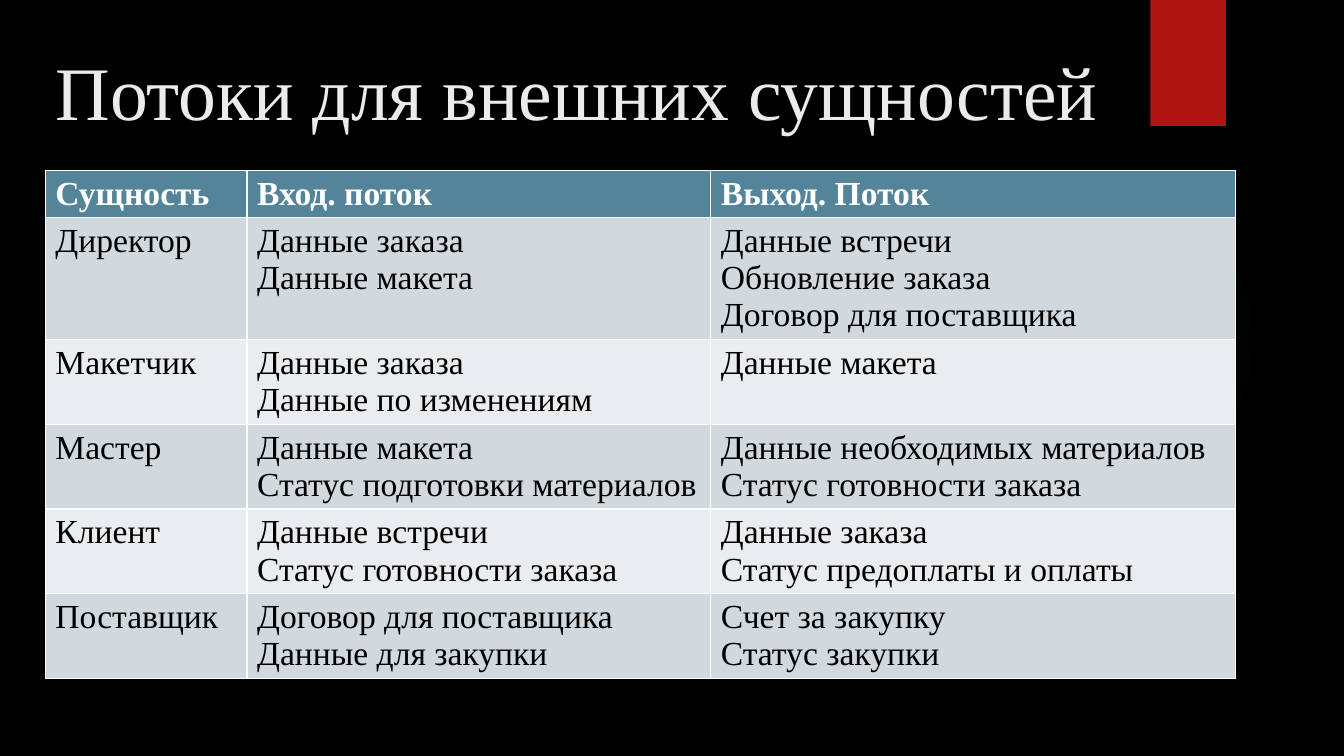
from lxml import etree
from pptx import Presentation
from pptx.dml.color import RGBColor
from pptx.enum.shapes import MSO_SHAPE as Shape
from pptx.enum.text import MSO_ANCHOR as Anchor, MSO_AUTO_SIZE as Fit, PP_ALIGN as Align
from pptx.oxml import parse_xml
from pptx.oxml.ns import nsdecls, qn
from pptx.util import Inches, Pt

BLACK = RGBColor(0x00, 0x00, 0x00)
WHITE = RGBColor(0xFF, 0xFF, 0xFF)
PALE = RGBColor(0xEB, 0xEB, 0xEB)
RED = RGBColor(0xB0, 0x15, 0x13)
TEAL = RGBColor(0x50, 0xB9, 0xC1)
HEAD = RGBColor(0x54, 0x84, 0x9A)
BANDS = [RGBColor(0xE9, 0xED, 0xEF), RGBColor(0xD1, 0xD9, 0xDE)]

ROWS = [
    ("Сущность", "Вход. поток", "Выход. Поток"),
    ("Директор", "Данные заказа\nДанные макета",
     "Данные встречи\nОбновление заказа\nДоговор для поставщика"),
    ("Макетчик", "Данные заказа\nДанные по изменениям", "Данные макета"),
    ("Мастер", "Данные макета\nСтатус подготовки материалов",
     "Данные необходимых материалов\nСтатус готовности заказа"),
    ("Клиент", "Данные встречи\nСтатус готовности заказа",
     "Данные заказа\nСтатус предоплаты и оплаты"),
    ("Поставщик", "Договор для поставщика\nДанные для закупки",
     "Счет за закупку\nСтатус закупки"),
]
WIDTHS = [2, 4.6, 5.2]


def write(frame, text, color, **style):
    frame.text = text
    for para in frame.paragraphs:
        para.alignment = Align.LEFT
        font = para.runs[0].font
        font.color.rgb = color
        for name, value in {"name": "Times New Roman", **style}.items():
            setattr(font, name, value)


def block(kind, left, top, width, height, color):
    shape = slide.shapes.add_shape(
        kind, Inches(left), Inches(top), Inches(width), Inches(height))
    shape.shadow.inherit = False
    shape.fill.solid()
    shape.fill.fore_color.rgb = color
    shape.line.fill.background()
    return shape


prs = Presentation()
prs.slide_width, prs.slide_height = Inches(13.33), Inches(7.5)
slide = prs.slides.add_slide(prs.slide_layouts[5])
slide.background.fill.solid()
slide.background.fill.fore_color.rgb = BLACK

glow = block(Shape.OVAL, 9.41, 1.83, 3.08, 3.08, TEAL)
grad = parse_xml(f'<a:gradFill {nsdecls("a")}><a:gsLst/><a:path path="circle">'
                 '<a:fillToRect l="50000" t="50000" r="50000" b="50000"/></a:path></a:gradFill>')
for stop, alpha in [(0, 7), (36, 6), (69, 0)]:
    mark = etree.SubElement(grad[0], qn("a:gs"), pos=str(stop * 1000))
    tint = etree.SubElement(mark, qn("a:srgbClr"), val=str(TEAL))
    etree.SubElement(tint, qn("a:alpha"), val=str(alpha * 1000))
props = glow.element.spPr
props.replace(props.find(qn("a:solidFill")), grad)

block(Shape.RECTANGLE, 11.41, 0, 0.75, 1.25, RED)

title = slide.shapes.title
title.left, title.top = Inches(0.45), Inches(0.33)
title.width, title.height = Inches(10.72), Inches(1.14)
write(title.text_frame, "Потоки для внешних сущностей", PALE, size=Pt(54))
form = {"word_wrap": True, "auto_size": Fit.NONE, "vertical_anchor": Anchor.MIDDLE}
for name, value in form.items():
    setattr(title.text_frame, name, value)

table = slide.shapes.add_table(
    len(ROWS), len(WIDTHS), Inches(0.45), Inches(1.69), Inches(sum(WIDTHS)), Inches(5.04)).table
for col, width in zip(table.columns, WIDTHS):
    col.width = Inches(width)

for i, texts in enumerate(ROWS):
    lines = max(text.count("\n") + 1 for text in texts)
    table.rows[i].height = Inches(0.1 + 0.37 * lines)
    for j, text in enumerate(texts):
        cell = table.cell(i, j)
        cell.fill.solid()
        cell.fill.fore_color.rgb = BANDS[i % 2] if i else HEAD
        write(cell.text_frame, text, BLACK if i else WHITE, size=Pt(24), bold=i == 0)

prs.save("out.pptx")
